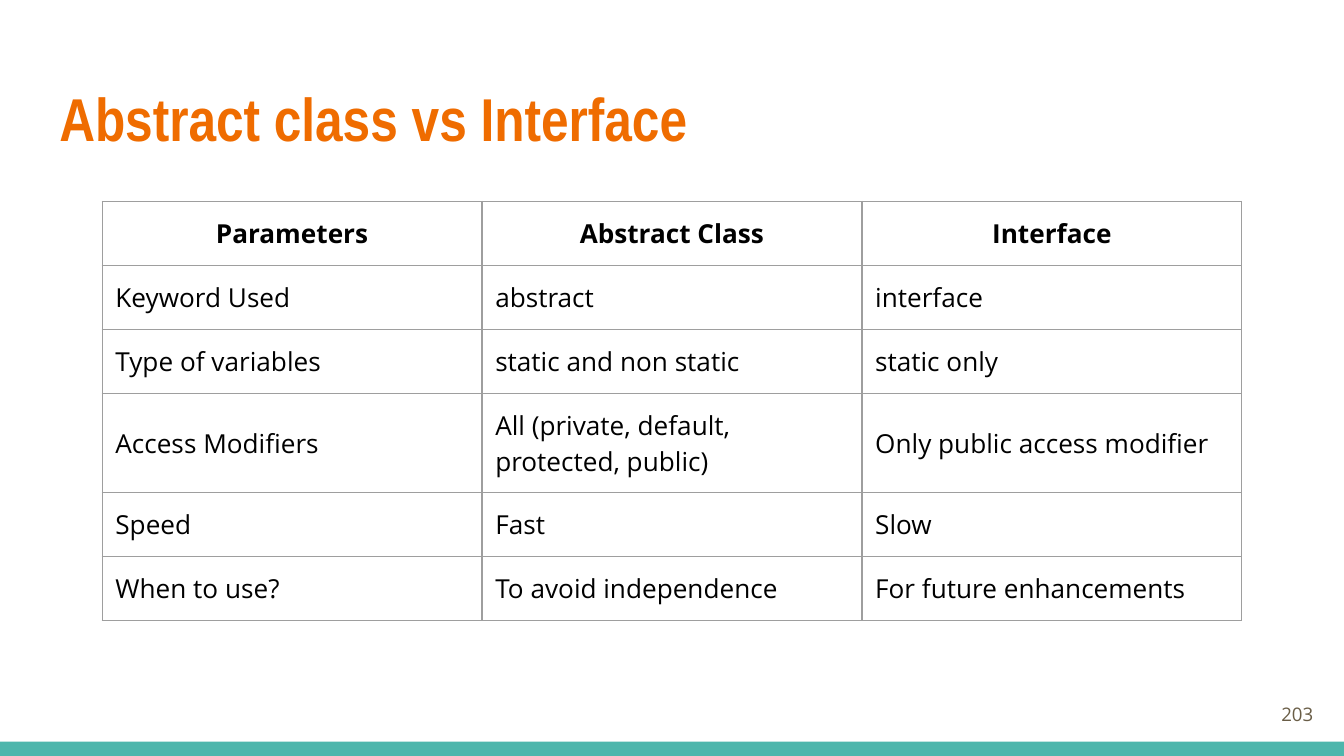
from lxml import etree
from pptx import Presentation
from pptx.dml.color import RGBColor
from pptx.enum.shapes import MSO_SHAPE
from pptx.enum.text import MSO_ANCHOR, PP_ALIGN
from pptx.oxml.ns import qn
from pptx.util import Cm, Pt

RECT = MSO_SHAPE.RECTANGLE
MIDDLE = MSO_ANCHOR.MIDDLE
LEFT, CENTER, RIGHT = PP_ALIGN.LEFT, PP_ALIGN.CENTER, PP_ALIGN.RIGHT
COLORS = {"bar": "4DB6AC", "title": "EF6C00", "number": "695D46",
          "text": "000000", "border": "9E9E9E"}
ROWS = [
    ("Parameters", "Abstract Class", "Interface"),
    ("Keyword Used", "abstract", "interface"),
    ("Type of variables", "static and non static", "static only"),
    ("Access Modifiers", "All (private, default, protected, public)",
     "Only public access modifier"),
    ("Speed", "Fast", "Slow"),
    ("When to use?", "To avoid independence", "For future enhancements"),
]
ROW_HEIGHTS = [1.21, 1.21, 1.21, 1.87, 1.21, 1.21]


class SlideBuilder:
    """Holds the slide style and adds each kind of element to the current slide."""

    body_font = "Open Sans"
    title_font = "Arial Narrow"
    inset = Cm(0.25)

    def __init__(self, s):
        self.s = s

    def color(self, name):
        return RGBColor.from_string(COLORS[name])

    def margins(self, box):
        box.margin_left = box.margin_right = self.inset
        box.margin_top = box.margin_bottom = self.inset

    def style(self, p, size, color, font=body_font, bold=False, align=LEFT):
        p.alignment = align
        p.font.size = Pt(size)
        p.font.name = font
        p.font.bold = bold
        p.font.color.rgb = self.color(color)

    def frame(self, sp, text):
        tf = sp.text_frame
        tf.word_wrap = True
        tf.vertical_anchor = MIDDLE
        self.margins(tf)
        tf.text = text
        return tf.paragraphs[0]

    def bar(self, x, y, w, h):
        sp = self.s.shapes.add_shape(RECT, Cm(x), Cm(y), Cm(w), Cm(h))
        sp.shadow.inherit = False
        sp.fill.solid()
        sp.fill.fore_color.rgb = self.color("bar")
        sp.line.fill.background()

    def title(self, text, x, y, w, h):
        sp = self.s.shapes.title
        sp.left, sp.top, sp.width, sp.height = Cm(x), Cm(y), Cm(w), Cm(h)
        p = self.frame(sp, text)
        self.style(p, 32.4, "title", self.title_font, bold=True)

    def number(self, text, x, y, w, h):
        sp = self.s.shapes.add_textbox(Cm(x), Cm(y), Cm(w), Cm(h))
        self.style(self.frame(sp, text), 10, "number", align=RIGHT)

    def borders(self, cell):
        tc_pr = cell._tc.get_or_add_tcPr()
        for i, side in enumerate(("lnL", "lnR", "lnT", "lnB")):
            ln = etree.Element(qn(f"a:{side}"), w=str(Pt(0.75)))
            fill = etree.SubElement(ln, qn("a:solidFill"))
            etree.SubElement(fill, qn("a:srgbClr"), val=COLORS["border"])
            tc_pr.insert(i, ln)

    def table(self, rows, heights, x, y, w):
        cols = len(rows[0])
        tbl = self.s.shapes.add_table(len(rows), cols, Cm(x), Cm(y),
                                      Cm(w), Cm(sum(heights))).table
        tbl.first_row = tbl.horz_banding = False
        for col in tbl.columns:
            col.width = Cm(w / cols)
        for i, (row, height) in enumerate(zip(rows, heights)):
            tbl.rows[i].height = Cm(height)
            for j, text in enumerate(row):
                cell = tbl.cell(i, j)
                cell.text = text
                cell.vertical_anchor = MIDDLE
                self.margins(cell)
                cell.fill.background()
                self.borders(cell)
                self.style(cell.text_frame.paragraphs[0], 14, "text",
                           bold=i == 0, align=LEFT if i else CENTER)


def main():
    prs = Presentation()
    prs.slide_width, prs.slide_height = Cm(25.4), Cm(14.29)
    b = SlideBuilder(prs.slides.add_slide(prs.slide_layouts[5]))
    b.bar(0, 14.02, 25.4, 0.27)
    b.title("Abstract class vs Interface", 0.87, 1.25, 23.67, 1.95)
    b.number("203", 23.55, 12.95, 1.52, 1.09)
    b.table(ROWS, ROW_HEIGHTS, 1.93, 3.81, 21.54)
    prs.save("out.pptx")


if __name__ == "__main__":
    main()
